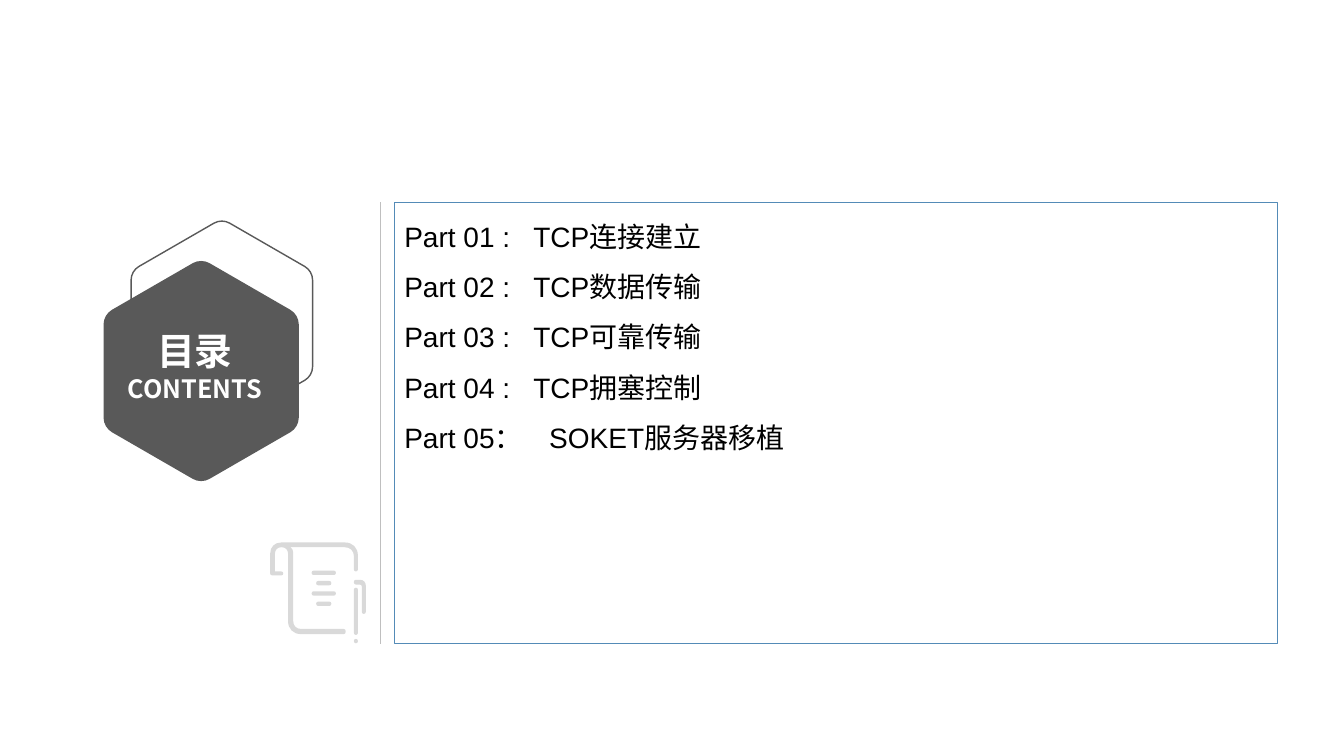
import math

from lxml import etree
from pptx import Presentation
from pptx import util as u
from pptx.dml.color import RGBColor
from pptx.enum import shapes, text
from pptx.oxml.ns import qn

GREY = "595959"
CJK_FONT = "Noto Sans CJK SC"


def rounded(corners):
    """Points in EMU for (x, y, cut) corners in cm: start, two handles and end of each curve."""
    points = []
    for i, (x, y, cut) in enumerate(corners):
        if not cut:
            points.append((u.Cm(x), u.Cm(y), False))
            continue
        before, after = corners[i - 1], corners[(i + 1) % len(corners)]
        for (nx, ny, _), reach in ((before, cut), (before, cut * 0.4), (after, cut * 0.4), (after, cut)):
            share = reach / math.hypot(nx - x, ny - y)
            is_first_handle = (nx, ny) == before[:2] and reach < cut
            points.append((u.Cm(x + (nx - x) * share), u.Cm(y + (ny - y) * share), is_first_handle))
    return points


def add_outline(contours, fill=None, line=None):
    """Draw closed contours of (x, y, cut) corners as one shape with true curves."""
    contours = [rounded(corners) for corners in contours]
    builder = slide.shapes.build_freeform(*contours[0][0][:2])
    for number, contour in enumerate(contours):
        if number:
            builder.move_to(*contour[0][:2])
        builder.add_line_segments([point[:2] for point in contour[1:]], close=True)
    outline = builder.convert_to_shape()
    path_xml = next(outline._element.iter(qn("a:path")))
    nodes = [node for node in path_xml if node.tag != qn("a:close")]
    handles = [point[2] for contour in contours for point in contour]
    for i, is_first_handle in enumerate(handles):
        if is_first_handle:
            curve = etree.Element(qn("a:cubicBezTo"))
            nodes[i].addprevious(curve)
            for node in nodes[i:i + 3]:
                curve.append(node[0])
                path_xml.remove(node)
    outline.shadow.inherit = False
    for part, colour in ((outline.fill, fill), (outline.line.fill, line)):
        if colour:
            part.solid()
            part.fore_color.rgb = RGBColor.from_string(colour)
        else:
            part.background()
    if line:
        outline.line.width = u.Pt(1)


prs = Presentation()
prs.slide_width, prs.slide_height = u.Cm(33.87), u.Cm(19.05)
slide = prs.slides.add_slide(prs.slide_layouts[5])

# Agenda box, each entry with its own tab stop in cm
agenda = [
    ("Part 01 :\tTCP连接建立", 3.25),
    ("Part 02 :\tTCP数据传输", 3.25),
    ("Part 03 :\tTCP可靠传输", 3.25),
    ("Part 04 :\tTCP拥塞控制", 3.25),
    ("Part 05：\tSOKET服务器移植", 3.65),
]
agenda_box = slide.shapes.add_shape(
    shapes.MSO_SHAPE.RECTANGLE, u.Cm(9.94), u.Cm(5.1), u.Cm(22.26), u.Cm(11.12))
agenda_box.shadow.inherit = False
agenda_box.fill.background()
agenda_box.line.color.rgb = RGBColor.from_string("548BB7")
agenda_box.line.width = u.Pt(0.75)
frame = agenda_box.text_frame
frame.vertical_anchor = text.MSO_ANCHOR.TOP
frame.margin_top = 0
frame.text = "\n".join(entry for entry, _ in agenda)
for paragraph, (_, stop) in zip(frame.paragraphs, agenda):
    paragraph.alignment = text.PP_ALIGN.LEFT
    paragraph.line_spacing = 1.5
    tabs = etree.SubElement(paragraph._p.get_or_add_pPr(), qn("a:tabLst"))
    etree.SubElement(tabs, qn("a:tab"), pos=str(u.Cm(stop)), algn="l")

divider = slide.shapes.add_connector(
    shapes.MSO_CONNECTOR.STRAIGHT, u.Cm(9.59), u.Cm(5.1), u.Cm(9.59), u.Cm(16.22))
divider.line.color.rgb = RGBColor.from_string("BFBFBF")
divider.line.width = u.Pt(0.25)
etree.SubElement(divider._element.spPr, qn("a:effectLst"))

# Scroll and pen icon
scroll = [
    (6.81, 13.67, 0.28), (9.02, 13.67, 0.33), (9.02, 14.4, 0.05), (8.92, 14.4, 0.05),
    (8.92, 13.79, 0.23), (7.32, 13.79, 0), (7.39, 13.84, 0.08), (7.39, 15.85, 0.2),
    (8.71, 15.85, 0.05), (8.71, 15.98, 0.05), (7.26, 15.98, 0.33), (7.26, 13.79, 0.16),
    (6.93, 13.79, 0.16), (6.93, 14.4, 0), (7.14, 14.4, 0.05), (7.14, 14.5, 0.05),
    (6.81, 14.5, 0.05),
]
pen_clip = [
    (8.92, 14.61, 0.05), (9.22, 14.61, 0.15), (9.22, 15.47, 0.05), (9.12, 15.47, 0.05),
    (9.12, 14.73, 0.05), (8.92, 14.73, 0.05),
]
bars = [(8.92, 14.81, 0.1, 1.19), (8.92, 16.1, 0.1, 0.11)]
for row in range(4):
    width = (0.61, 0.38)[row % 2]
    bars.append((8.16 - width / 2, 14.38 + 0.26 * row, width, 0.11))
icon = [scroll, pen_clip]
for x, y, w, h in bars:
    icon.append([(x, y, 0.05), (x + w, y, 0.05), (x + w, y + h, 0.05), (x, y + h, 0.05)])
add_outline(icon, fill="D9D9D9")

# Two regular hexagons standing on a corner
for cx, cy, radius, fill, line in ((5.59, 8.15, 2.64, None, GREY), (5.07, 9.35, 2.84, GREY, None)):
    angles = [math.radians(60 * k - 90) for k in range(6)]
    hexagon = [(cx + radius * math.cos(a), cy + radius * math.sin(a), radius * 0.085)
               for a in angles]
    add_outline([hexagon], fill, line)

title = slide.shapes.title
title.left, title.top, title.width, title.height = u.Cm(2.6), u.Cm(8.15), u.Cm(4.62), u.Cm(2.11)
heading = title.text_frame
heading.text = "目录\nCONTENTS"
heading.word_wrap = True
heading.auto_size = text.MSO_AUTO_SIZE.NONE
heading.vertical_anchor = text.MSO_ANCHOR.TOP
heading.margin_left = heading.margin_right = u.Cm(0.18)
heading.margin_top = heading.margin_bottom = u.Cm(0.1)
for paragraph in heading.paragraphs:
    paragraph.alignment = text.PP_ALIGN.CENTER
slide.shapes._spTree.append(title._element)

styled = [(paragraph, 20, "Arial", "000000", False) for paragraph in frame.paragraphs]
styled += [(paragraph, size, CJK_FONT, "FFFFFF", True)
           for paragraph, size in zip(heading.paragraphs, (27, 18))]
for paragraph, size, latin, colour, bold in styled:
    for run in paragraph.runs:
        run.font.size = u.Pt(size)
        run.font.name = latin
        run.font.bold = bold
        run.font.color.rgb = RGBColor.from_string(colour)
        etree.SubElement(run.font._element, qn("a:ea"), typeface=CJK_FONT)

prs.save("out.pptx")
